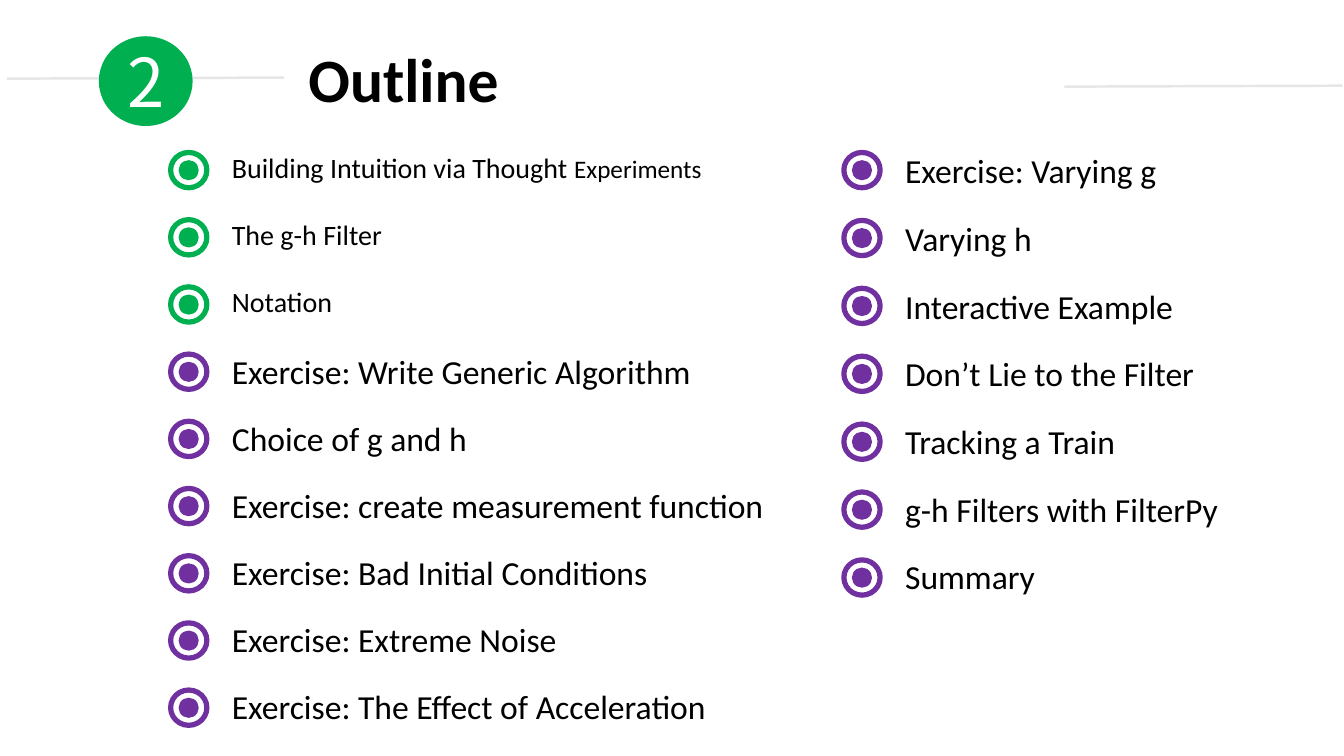
from lxml import etree
from pptx import Presentation
from pptx.dml import color
from pptx.enum import shapes, text
from pptx.oxml import ns
from pptx.util import Pt

INK = {"done": "00B050", "todo": "7030A0", "rule": "E7E6E6", "text": "000000", "light": "FFFFFF"}
TOP = 103.7
LEFT = [
    ("done", 20, ["Building Intuition via Thought ", "Experiments"]),
    ("done", 20, ["The g-h Filter"]),
    ("done", 20, ["Notation"]),
    ("todo", 24, ["Exercise: Write Generic Algorithm"]),
    ("todo", 24, ["Choice of g and h"]),
    ("todo", 24, ["Exercise: create measurement function"]),
    ("todo", 24, ["Exercise: Bad Initial Conditions"]),
    ("todo", 24, ["Exercise: Extreme Noise"]),
    ("todo", 24, ["Exercise: The Effect of Acceleration"]),
]
RIGHT = [("todo", 24, [item]) for item in (
    "Exercise: Varying g", "Varying h", "Interactive Example", "Don’t Lie to the Filter",
    "Tracking a Train", "g-h Filters with FilterPy", "Summary")]


class Deck:
    """Holds the style and the current slide, and draws each kind of element."""

    def __init__(self, font="Calibri"):
        self.prs = Presentation()
        self.prs.slide_width, self.prs.slide_height = Pt(960), Pt(540)
        self.slide = self.prs.slides.add_slide(self.prs.slide_layouts[3])
        self.font = font

    def tint(self, name):
        return color.RGBColor.from_string(INK[name])

    def style(self, para, size, ink="text", font=None, bold=False):
        face = para.font
        face.name, face.size, face.bold = font or self.font, Pt(size), bold
        face.color.rgb = self.tint(ink)

    def place(self, shape, x, y, w, h):
        shape.left, shape.top, shape.width, shape.height = Pt(x), Pt(y), Pt(w), Pt(h)
        frame = shape.text_frame
        frame.auto_size = text.MSO_AUTO_SIZE.NONE
        frame.vertical_anchor = text.MSO_ANCHOR.TOP
        return frame

    def title(self, words, x, y, w, h):
        frame = self.place(self.slide.shapes.title, x, y, w, h)
        frame.text = words
        para = frame.paragraphs[0]
        para.alignment = text.PP_ALIGN.LEFT
        self.style(para, 44, bold=True)

    def rule(self, x1, y1, x2, y2):
        line = self.slide.shapes.add_connector(
            shapes.MSO_CONNECTOR.STRAIGHT, Pt(x1), Pt(y1), Pt(x2), Pt(y2))
        line.line.color.rgb = self.tint("rule")
        line.line.width = Pt(1.75)
        etree.SubElement(line._element.spPr, ns.qn("a:effectLst"))

    def oval(self, x, y, w, h, fill=None, edge=None):
        oval = self.slide.shapes.add_shape(shapes.MSO_SHAPE.OVAL, Pt(x), Pt(y), Pt(w), Pt(h))
        oval.shadow.inherit = False
        if fill:
            oval.fill.solid()
            oval.fill.fore_color.rgb = self.tint(fill)
        else:
            oval.fill.background()
        if edge:
            oval.line.color.rgb = self.tint(edge)
            oval.line.width = Pt(3.75)
        else:
            oval.line.fill.background()
        return oval

    def badge(self, label, x, y, w, h):
        frame = self.oval(x, y, w, h, fill="done").text_frame
        frame.text = label
        frame.vertical_anchor = text.MSO_ANCHOR.MIDDLE
        para = frame.paragraphs[0]
        para.alignment = text.PP_ALIGN.CENTER
        self.style(para, 48, "light", "Noto Sans CJK SC")

    def list(self, slot, items, x, w, pitch):
        frame = self.place(self.slide.placeholders[slot], x + 36.5, TOP, w, pitch * len(items))
        for row, (ink, size, parts) in enumerate(items):
            para = frame.paragraphs[0] if row == 0 else frame.add_paragraph()
            for part in parts:
                para.add_run().text = part
            for run in para.runs[1:]:
                run.font.size = Pt(18)
            self.style(para, size)
            para.line_spacing, para.space_before = 1.0, Pt(0)
            para.space_after = Pt(round(pitch - 1.207 * size, 2))
            props = para._p.get_or_add_pPr()
            props.set("marL", "0")
            props.set("indent", "0")
            bullet = etree.Element(ns.qn("a:buNone"))
            props.find(ns.qn("a:spcAft")).addnext(bullet)
            y = TOP + row * pitch
            self.oval(x + 5.7, y + 10.7, 14.4, 14.4, fill=ink)
            self.oval(x, y + 5.2, 25.9, 25.2, edge=ink)


def main():
    deck = Deck()
    deck.rule(760.3, 61.9, 959, 61.2)
    deck.rule(5, 56.2, 203, 55.4)
    deck.badge("2", 70.6, 25.9, 67, 64.1)
    deck.title("Outline", 213.1, 25.9, 170, 60.5)
    deck.list(1, LEFT, 121.9, 432, 48)
    deck.list(2, RIGHT, 602.8, 318, 48.5)
    deck.prs.save("out.pptx")


if __name__ == "__main__":
    main()
